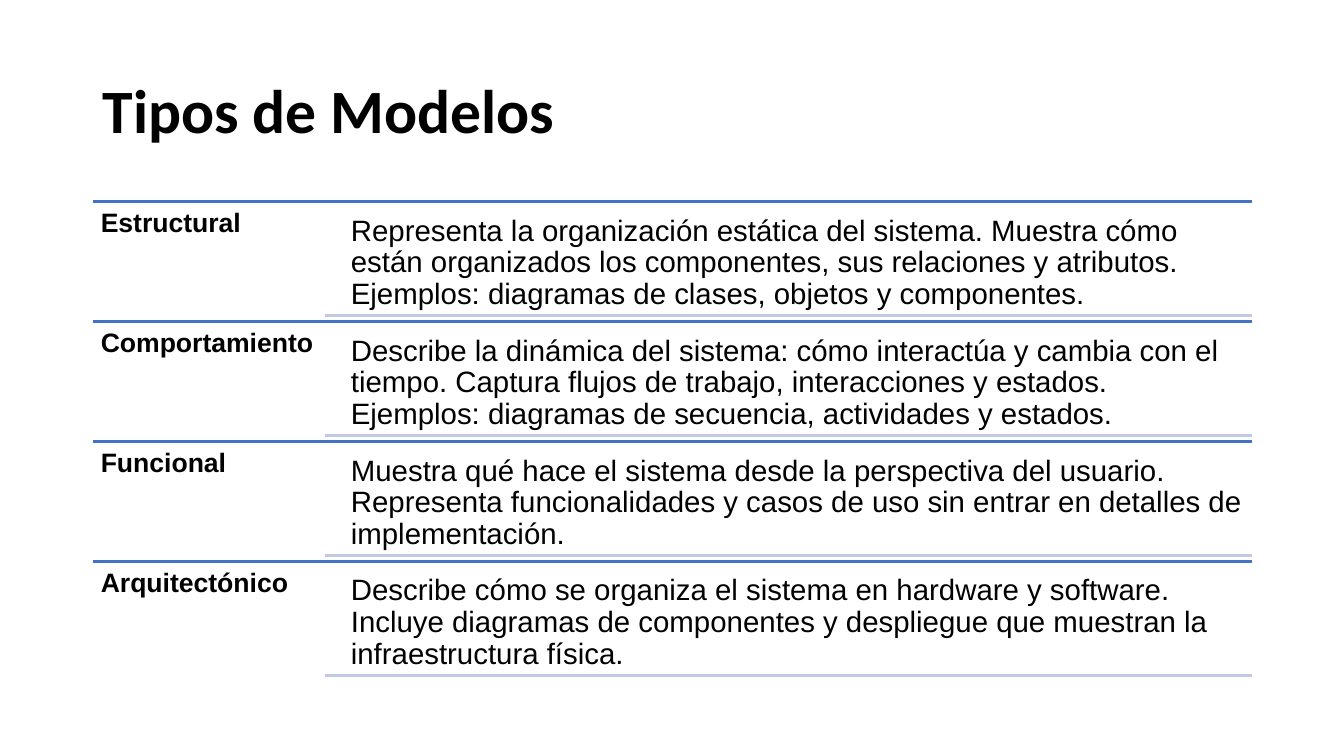
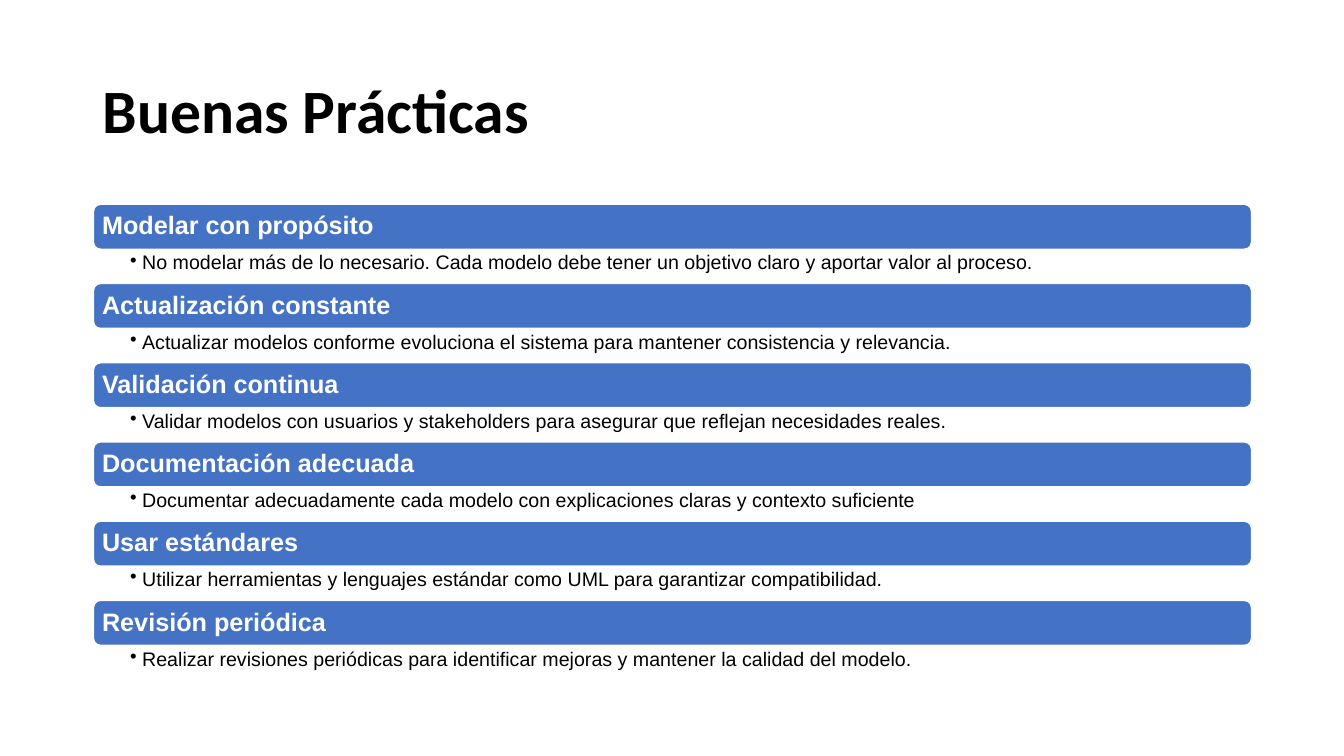
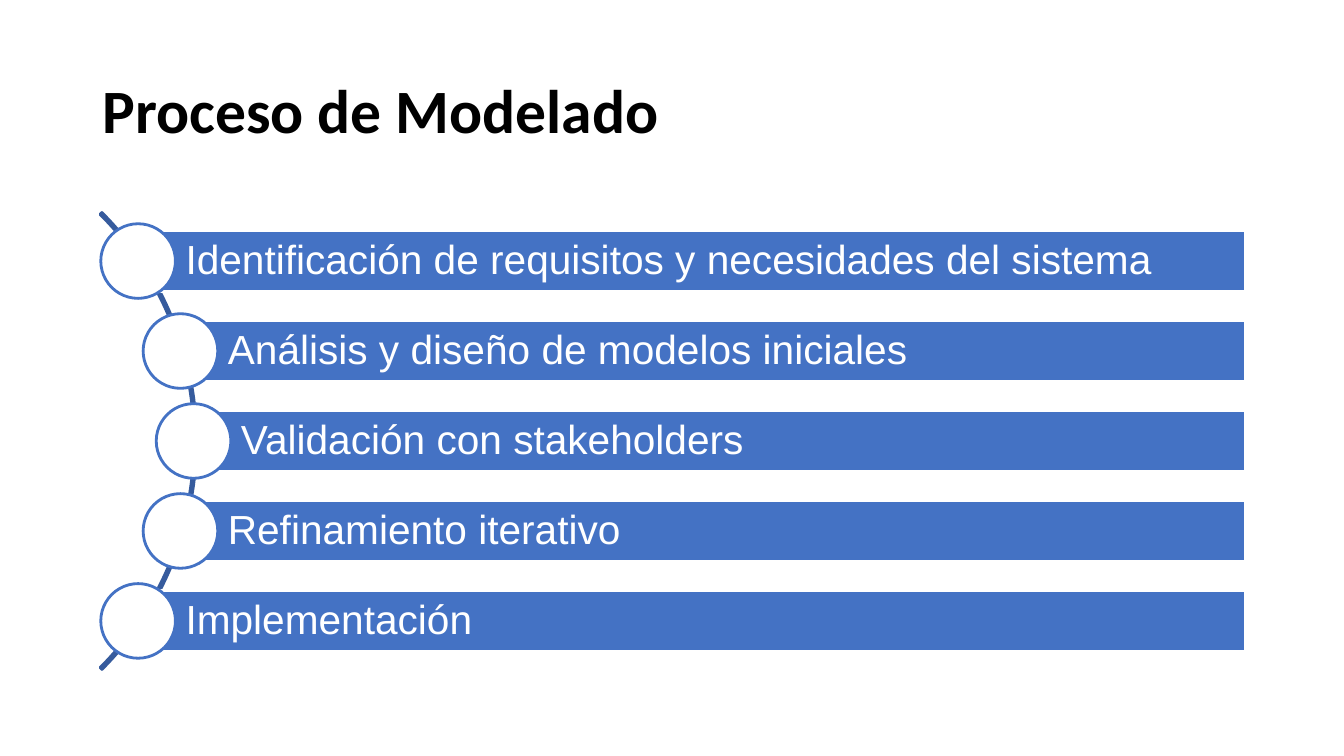
from lxml.etree import SubElement
from pptx import Presentation
from pptx.dml.color import RGBColor
from pptx.enum.shapes import MSO_CONNECTOR as Link, MSO_SHAPE as Kind
from pptx.enum.text import MSO_ANCHOR as Anchor, PP_ALIGN as Align
from pptx.oxml.ns import qn
from pptx.util import Inches, Pt

BLUE, PALE, DARK = "4472C4", "C1C9E4", "365B9D"
WHITE, BLACK = "FFFFFF", "000000"
LEFT, WIDTH = 0.92, 11.5
RIGHT = LEFT + WIDTH
color = RGBColor.from_string


def write(box, text, size, ink, pad, anchor=Anchor.MIDDLE, bold=False, face="Arial", bullet=False):
    frame = box.text_frame
    frame.word_wrap = True
    frame.vertical_anchor = anchor
    frame.margin_left, frame.margin_top, frame.margin_right, frame.margin_bottom = map(Inches, pad)
    frame.text = text
    para = frame.paragraphs[0]
    para.alignment = Align.LEFT
    para.line_spacing = 0.9
    if bullet:
        props = para._p.get_or_add_pPr()
        props.set("marL", str(Inches(0.12)))
        props.set("indent", str(Inches(-0.12)))
        SubElement(props, qn("a:buChar")).set("char", "•")
    font = para.runs[0].font
    font.name, font.size, font.bold = face, Pt(size), bold
    font.color.rgb = color(ink)


def draw(slide, kind, x, y, w, h, fill, edge):
    shape = slide.shapes.add_shape(kind, Inches(x), Inches(y), Inches(w), Inches(h))
    shape.shadow.inherit = False
    if fill:
        shape.fill.solid()
        shape.fill.fore_color.rgb = color(fill)
    else:
        shape.fill.background()
    shape.line.color.rgb = color(edge)
    shape.line.width = Pt(2)
    return shape


deck = Presentation()
deck.slide_width, deck.slide_height = Inches(13.33), Inches(7.5)
slides = []
for title in ("Tipos de Modelos", "Buenas Prácticas", "Proceso de Modelado"):
    slide = deck.slides.add_slide(deck.slide_layouts[6])
    head = slide.shapes.add_textbox(Inches(LEFT), Inches(0.4), Inches(WIDTH), Inches(1.45))
    write(head, title, 44, BLACK, (0.1, 0.05, 0.1, 0.05), bold=True, face="Calibri")
    slides.append(slide)
types, habits, process = slides

models = [
    ("Estructural", "Representa la organización estática del sistema. Muestra cómo están organizados los componentes, sus relaciones y atributos. Ejemplos: diagramas de clases, objetos y componentes."),
    ("Comportamiento", "Describe la dinámica del sistema: cómo interactúa y cambia con el tiempo. Captura flujos de trabajo, interacciones y estados. Ejemplos: diagramas de secuencia, actividades y estados."),
    ("Funcional", "Muestra qué hace el sistema desde la perspectiva del usuario. Representa funcionalidades y casos de uso sin entrar en detalles de implementación."),
    ("Arquitectónico", "Describe cómo se organiza el sistema en hardware y software. Incluye diagramas de componentes y despliegue que muestran la infraestructura física."),
]
row = 1.19
for i, (name, about) in enumerate(models):
    top = 2 + i * row
    for x, y, ink in ((LEFT, top, BLUE), (3.22, top + 1.13, PALE)):
        rule = types.shapes.add_connector(Link.STRAIGHT, Inches(x), Inches(y), Inches(RIGHT), Inches(y))
        rule.line.color.rgb = color(ink)
        rule.line.width = Pt(2)
        SubElement(rule._element.spPr, qn("a:effectLst"))
    label = types.shapes.add_textbox(Inches(LEFT), Inches(top), Inches(2.3), Inches(row))
    write(label, name, 19, BLACK, [0.08] * 4, Anchor.TOP, bold=True)
    body = types.shapes.add_textbox(Inches(3.39), Inches(top + 0.05), Inches(9.03), Inches(1.08))
    write(body, about, 21, BLACK, [0.09] * 4, Anchor.TOP)

advice = [
    ("Modelar con propósito", "No modelar más de lo necesario. Cada modelo debe tener un objetivo claro y aportar valor al proceso."),
    ("Actualización constante", "Actualizar modelos conforme evoluciona el sistema para mantener consistencia y relevancia."),
    ("Validación continua", "Validar modelos con usuarios y stakeholders para asegurar que reflejan necesidades reales."),
    ("Documentación adecuada", "Documentar adecuadamente cada modelo con explicaciones claras y contexto suficiente"),
    ("Usar estándares", "Utilizar herramientas y lenguajes estándar como UML para garantizar compatibilidad."),
    ("Revisión periódica", "Realizar revisiones periódicas para identificar mejoras y mantener la calidad del modelo."),
]
high = 0.46
step = (5.95 - 2.02) / (len(advice) - 1)
for i, (name, about) in enumerate(advice):
    top = 2.02 + i * step
    bar = draw(habits, Kind.ROUNDED_RECTANGLE, LEFT, top, WIDTH, high, BLUE, WHITE)
    write(bar, name, 18, WHITE, [0.07] * 4, bold=True)
    note = habits.shapes.add_textbox(Inches(LEFT), Inches(top + high), Inches(WIDTH), Inches(0.33))
    write(note, about, 14, BLACK, (0.37, 0.03, 0.14, 0.03), Anchor.TOP, bullet=True)

arc = draw(process, Kind.BLOCK_ARC, -4.46, 1.17, 6.41, 6.41, None, DARK)
for i, value in enumerate((189, 27, 0.004)):
    arc.adjustments[i] = value

stages = [
    (1.37, "Identificación de requisitos y necesidades del sistema"),
    (1.79, "Análisis y diseño de modelos iniciales"),
    (1.92, "Validación con stakeholders"),
    (1.79, "Refinamiento iterativo"),
    (1.37, "Implementación"),
]
high, disc = 0.6, 0.74
step = (5.86 - 2.29) / (len(stages) - 1)
for i, (x, name) in enumerate(stages):
    top = 2.29 + i * step
    bar = draw(process, Kind.RECTANGLE, x, top, 12.35 - x, high, BLUE, WHITE)
    write(bar, name, 29, WHITE, (0.47, 0.08, 0.08, 0.08))
    draw(process, Kind.OVAL, x - disc / 2, top + (high - disc) / 2, disc, disc, WHITE, BLUE)

deck.save("out.pptx")
